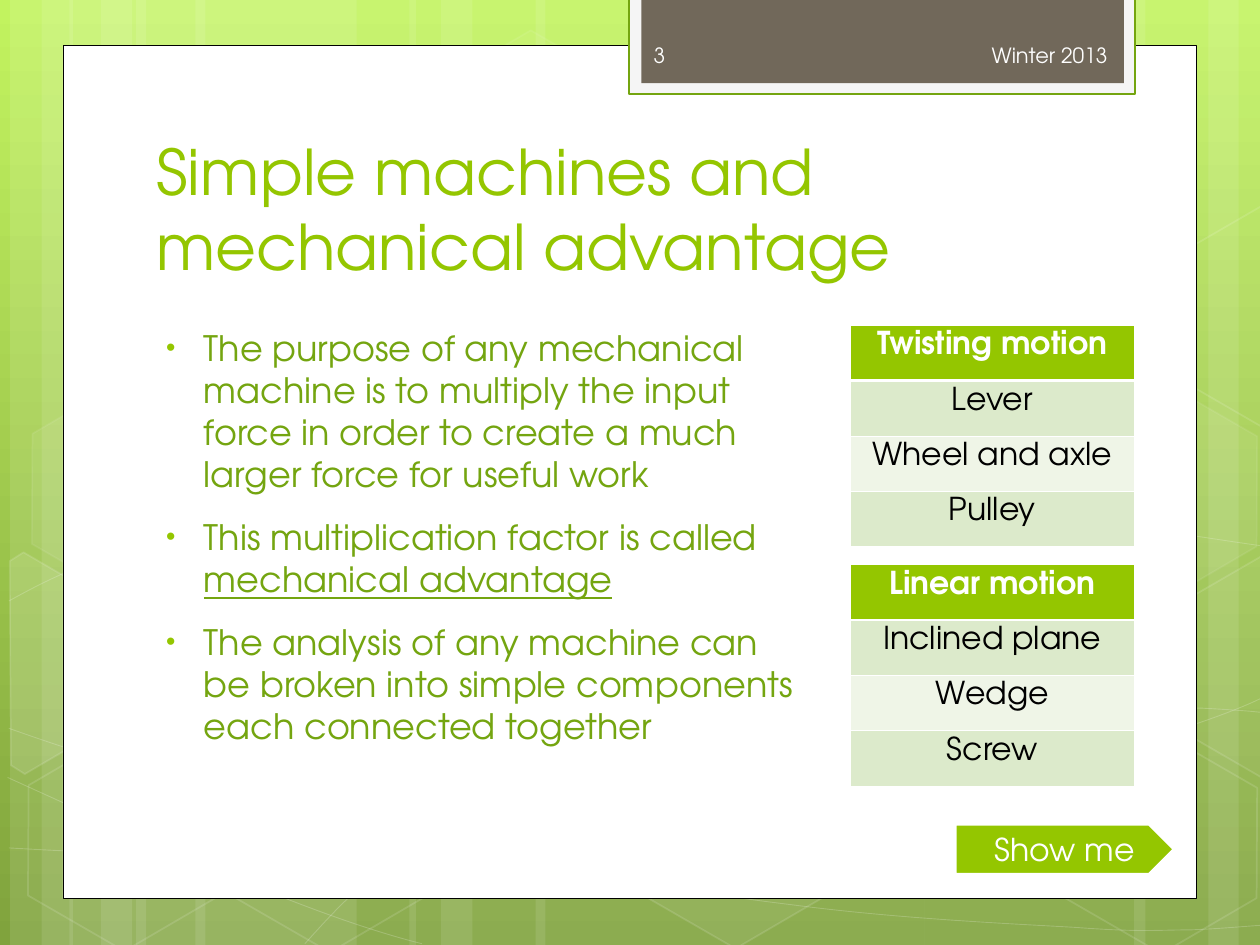
"""Builds the slide on simple machines and mechanical advantage."""
from math import cos, radians, sin

from lxml import etree
from pptx import Presentation
from pptx.dml.color import RGBColor
from pptx.enum.shapes import MSO_SHAPE
from pptx.enum.text import MSO_ANCHOR, PP_ALIGN
from pptx.oxml.ns import qn
from pptx.util import Inches, Pt

RECTANGLE, HEXAGON = MSO_SHAPE.RECTANGLE, MSO_SHAPE.HEXAGON
LEFT, CENTER, RIGHT = PP_ALIGN.LEFT, PP_ALIGN.CENTER, PP_ALIGN.RIGHT
TOP, MIDDLE = MSO_ANCHOR.TOP, MSO_ANCHOR.MIDDLE
FONT = "TeX Gyre Adventor"
WHITE = RGBColor(0xFF, 0xFF, 0xFF)
OFF_WHITE = RGBColor(0xFE, 0xFE, 0xFE)
PALE_GREY = RGBColor(0xF5, 0xF5, 0xF5)
BLACK = RGBColor(0, 0, 0)
BROWN = RGBColor(0x71, 0x68, 0x5A)
LIME = RGBColor(0x94, 0xC6, 0x00)
GREEN = RGBColor(0x74, 0xA5, 0x10)
SKY = RGBColor(0xC2, 0xF3, 0x5F)
MOSS = RGBColor(0x80, 0xA3, 0x3D)
BANDS = (RGBColor(0xDC, 0xEA, 0xCB), RGBColor(0xEF, 0xF5, 0xE7))
TILT = 30

TITLE = "Simple machines and mechanical advantage"
POINTS = [
    [("The purpose of any mechanical machine is to multiply the input force "
      "in order to create a much larger force for useful work", False)],
    [("This multiplication factor is called ", False), ("mechanical advantage", True)],
    [("The analysis of any machine can be broken into simple components "
      "each connected together", False)],
]
TABLES = [
    (2.58, ["Twisting motion", "Lever", "Wheel and axle", "Pulley"]),
    (4.48, ["Linear motion", "Inclined plane", "Wedge", "Screw"]),
]
STRIPES = [(1.08, 1.75, 0), (0.08, 0.5, 0), (0.33, 0.83, 0), (1.55, 1.75, 0), (0.55, 0.5, 0),
           (0.8, 0.83, 0), (7.34, 1.75, 180), (9.59, 0.5, 180), (9, 0.83, 180),
           (4.25, 3.09, 0), (3.25, 0.5, 0), (3.5, 0.83, 0)]
CURVES = [
    [(0.07, 6.73), (0.61, 6.76), (1.15, 6.79), (1.9, 6.78), (2.65, 6.77), (3.58, 6.75),
     (4.58, 6.65), (5.58, 6.55), (7, 6.36), (7.92, 6.17), (8.83, 5.98), (9.77, 5.68),
     (10.07, 5.51)],
    [(0.07, 4.77), (0.36, 4.61), (0.65, 4.46), (1.21, 4.31), (1.78, 4.16), (2.59, 3.94),
     (3.47, 3.87), (4.36, 3.8), (5.44, 3.79), (6.54, 3.87), (7.64, 3.95), (9.47, 4.26),
     (10.07, 4.34)],
    [(0.06, 6.17), (1.27, 6.72), (2.47, 7.27), (3.35, 7.49)],
    [(0.07, 5.78), (0.38, 5.89), (0.7, 6), (1.28, 6.16), (1.86, 6.31), (2.73, 6.56),
     (3.57, 6.73), (4.4, 6.9), (5.45, 7.08), (6.28, 7.18), (7.11, 7.29), (8, 7.33),
     (8.53, 7.36), (9.06, 7.4), (9.19, 7.38), (9.45, 7.38), (9.71, 7.37), (9.89, 7.35),
     (10.07, 7.34)],
    [(2.42, 7.49), (2.6, 7.29), (2.78, 7.09), (3.02, 6.91), (3.26, 6.72), (3.6, 6.53),
     (3.88, 6.39), (4.16, 6.25), (4.33, 6.19), (4.69, 6.09), (5.06, 5.99), (5.73, 5.85),
     (6.08, 5.78), (6.44, 5.71), (6.49, 5.71), (6.8, 5.69), (7.11, 5.66), (7.6, 5.63),
     (7.94, 5.62), (8.29, 5.61), (8.86, 5.62), (8.86, 5.62), (9.08, 5.62), (9.31, 5.62),
     (9.53, 5.62), (9.71, 5.63), (9.88, 5.64), (9.97, 5.65), (10.06, 5.66), (10.03, 5.65),
     (10.06, 5.66)],
]
HEXAGONS = [(3.34, 0.36, 4, 8), (4.96, 5.89, 6, 12), (0.11, 5.91, None, 12),
            (0.14, 3.12, 7, 8), (1.74, 5.92, None, 12), (7.53, 4.53, 10, 12),
            (8.34, 5.93, None, 12), (8.34, 3.14, 7, 8)]
CUT_HEXAGONS = [
    ((0.36, 5.36), 10,
     [(0.08, 4.45), (0.19, 4.38), (0.96, 4.83), (0.95, 5.7), (0.2, 6.14), (0.09, 6.07)]),
    ((9.85, 5.2), 4,
     [(9.26, 4.85), (10.02, 4.41), (10.09, 4.46), (10.09, 6.13), (10.02, 6.17), (9.26, 5.73)]),
    ((9.85, 2.41), None,
     [(9.26, 2.07), (10.02, 1.63), (10.1, 1.68), (10.09, 3.35), (10.02, 3.39), (9.26, 2.95)]),
]
ARROW = [(7.58, 6.54), (9.12, 6.54), (9.32, 6.74), (9.12, 6.94), (7.58, 6.94)]


def set_alpha(shape, route, percent):
    color = shape.element.spPr.find("/".join(qn(tag) for tag in route))
    etree.SubElement(color, qn("a:alpha"), val=str(percent * 1000))


def paint(shape, fill=None, alpha=None, line=None, width=1, line_alpha=None):
    shape.shadow.inherit = False
    if fill is None:
        shape.fill.background()
    else:
        shape.fill.solid()
        shape.fill.fore_color.rgb = fill
        if alpha:
            set_alpha(shape, ("a:solidFill", "a:srgbClr"), alpha)
    if line is None:
        shape.line.fill.background()
    else:
        shape.line.color.rgb = line
        shape.line.width = Pt(width)
        if line_alpha:
            set_alpha(shape, ("a:ln", "a:solidFill", "a:srgbClr"), line_alpha)


def add_block(page, kind, place, **look):
    shape = page.shapes.add_shape(kind, *map(Inches, place))
    paint(shape, **look)
    return shape


def add_outline(page, points, close=True, **look):
    corners = [(Inches(x), Inches(y)) for x, y in points]
    builder = page.shapes.build_freeform(*corners[0])
    builder.add_line_segments(corners[1:], close=close)
    shape = builder.convert_to_shape()
    paint(shape, **look)
    return shape


def bend(shape):
    segments = list(shape.element.spPr.iter(qn("a:lnTo")))
    for start in range(0, len(segments), 3):
        first, *others = segments[start:start + 3]
        first.tag = qn("a:cubicBezTo")
        for segment in others:
            first.append(segment[0])
            segment.getparent().remove(segment)


def turn_back(points, center):
    c, s = cos(radians(TILT)), sin(radians(TILT))
    offsets = [(x - center[0], y - center[1]) for x, y in points]
    return [(center[0] + c * x + s * y, center[1] - s * x + c * y) for x, y in offsets]


def add_bullet(para):
    properties = para._p.get_or_add_pPr()
    properties.set("marL", str(Inches(0.38)))
    properties.set("indent", str(Inches(-0.3)))
    color = etree.SubElement(properties, qn("a:buClr"))
    etree.SubElement(color, qn("a:srgbClr"), val=str(LIME))
    etree.SubElement(properties, qn("a:buSzPct"), val="76000")
    etree.SubElement(properties, qn("a:buFont"), typeface="Arial")
    etree.SubElement(properties, qn("a:buChar"), char="•")


def write(frame, paragraphs, size=18, color=WHITE, bold=False, align=LEFT,
          anchor=MIDDLE, bullets=False, gap=0):
    frame.word_wrap = True
    frame.vertical_anchor = anchor
    if isinstance(paragraphs, str):
        paragraphs = [[(paragraphs, False)]]
    for index, spans in enumerate(paragraphs):
        para = frame.add_paragraph() if index else frame.paragraphs[0]
        if bullets:
            add_bullet(para)
        para.alignment = align
        para.space_before = Pt(gap if index else 0)
        for text, underline in spans:
            span = para.add_run()
            span.text = text
            span.font.name, span.font.size = FONT, Pt(size)
            span.font.bold, span.font.underline = bold, underline
            span.font.color.rgb = color


def add_text(page, place, text, **style):
    box = page.shapes.add_textbox(*map(Inches, place))
    write(box.text_frame, text, **style)


def add_borders(cell, **widths):
    properties = cell._tc.get_or_add_tcPr()
    for index, side in enumerate(("lnL", "lnR", "lnT", "lnB")):
        line = etree.Element(qn("a:" + side), w=str(Pt(widths.get(side, 0.45))))
        fill = etree.SubElement(line, qn("a:solidFill"))
        etree.SubElement(fill, qn("a:srgbClr"), val=str(WHITE))
        properties.insert(index, line)


def add_motion_table(page, top, labels, row_height=0.44):
    frame = page.shapes.add_table(len(labels), 1, Inches(6.75), Inches(top),
                                  Inches(2.25), Inches(row_height * len(labels)))
    for index, label in enumerate(labels):
        cell = frame.table.cell(index, 0)
        head = index == 0
        cell.fill.solid()
        cell.fill.fore_color.rgb = LIME if head else BANDS[(index - 1) % 2]
        write(cell.text_frame, label, color=WHITE if head else BLACK, bold=head, align=CENTER)
        cell.vertical_anchor = TOP
        add_borders(cell, **({"lnB": 1.47} if head else {"lnT": 1.47} if index == 1 else {}))


def main():
    deck = Presentation()
    deck.slide_width, deck.slide_height = Inches(10), Inches(7.5)
    page = deck.slides.add_slide(deck.slide_layouts[5])
    backdrop = page.background.fill
    backdrop.gradient()
    backdrop.gradient_angle = 270
    for position, (stop, color) in enumerate(zip(backdrop.gradient_stops, (SKY, MOSS))):
        stop.color.rgb, stop.position = color, position

    for left, width, rotation in STRIPES:
        stripe = add_block(page, RECTANGLE, (left, 0, width, 7.5), fill=WHITE, alpha=10)
        stripe.rotation = rotation
    for knots in CURVES:
        bend(add_outline(page, knots, close=False, line=WHITE, width=0.5, line_alpha=20))
    for left, top, alpha, line_alpha in HEXAGONS:
        hexagon = add_block(page, HEXAGON, (left, top, 1.75, 1.52), fill=WHITE if alpha else None,
                            alpha=alpha, line=WHITE, line_alpha=line_alpha)
        hexagon.adjustments[0] = 0.285
        hexagon.rotation = TILT
    for center, alpha, points in CUT_HEXAGONS:
        piece = add_outline(page, turn_back(points, center), fill=WHITE if alpha else None,
                            alpha=alpha, line=WHITE, line_alpha=12)
        piece.rotation = TILT
    add_block(page, RECTANGLE, (0.5, 0.36, 9, 6.77), fill=WHITE, line=BLACK, width=0.5)
    add_block(page, RECTANGLE, (4.99, -0.02, 4.02, 0.77), fill=PALE_GREY, line=GREEN, width=1.25)
    add_block(page, RECTANGLE, (5.09, -0.02, 3.83, 0.68), fill=BROWN)

    title = page.shapes.title
    title.element.getparent().append(title.element)
    title.left, title.top, title.width, title.height = map(Inches, (1.14, 0.92, 7.68, 1.46))
    write(title.text_frame, TITLE, size=36, color=LIME)
    add_text(page, (1.14, 2.54, 5.36, 3.84), POINTS, size=20, color=GREEN,
             anchor=TOP, bullets=True, gap=12)
    add_text(page, (6.56, 0.24, 2.33, 0.4), "Winter 2013", size=12, color=OFF_WHITE, align=RIGHT)
    add_text(page, (5.09, 0.24, 1.46, 0.4), "3", size=12, color=OFF_WHITE)
    for top, labels in TABLES:
        add_motion_table(page, top, labels)
    arrow = add_outline(page, ARROW, fill=LIME, line=WHITE, width=1.75)
    write(arrow.text_frame, "Show me", align=CENTER)
    deck.save("out.pptx")


if __name__ == "__main__":
    main()
